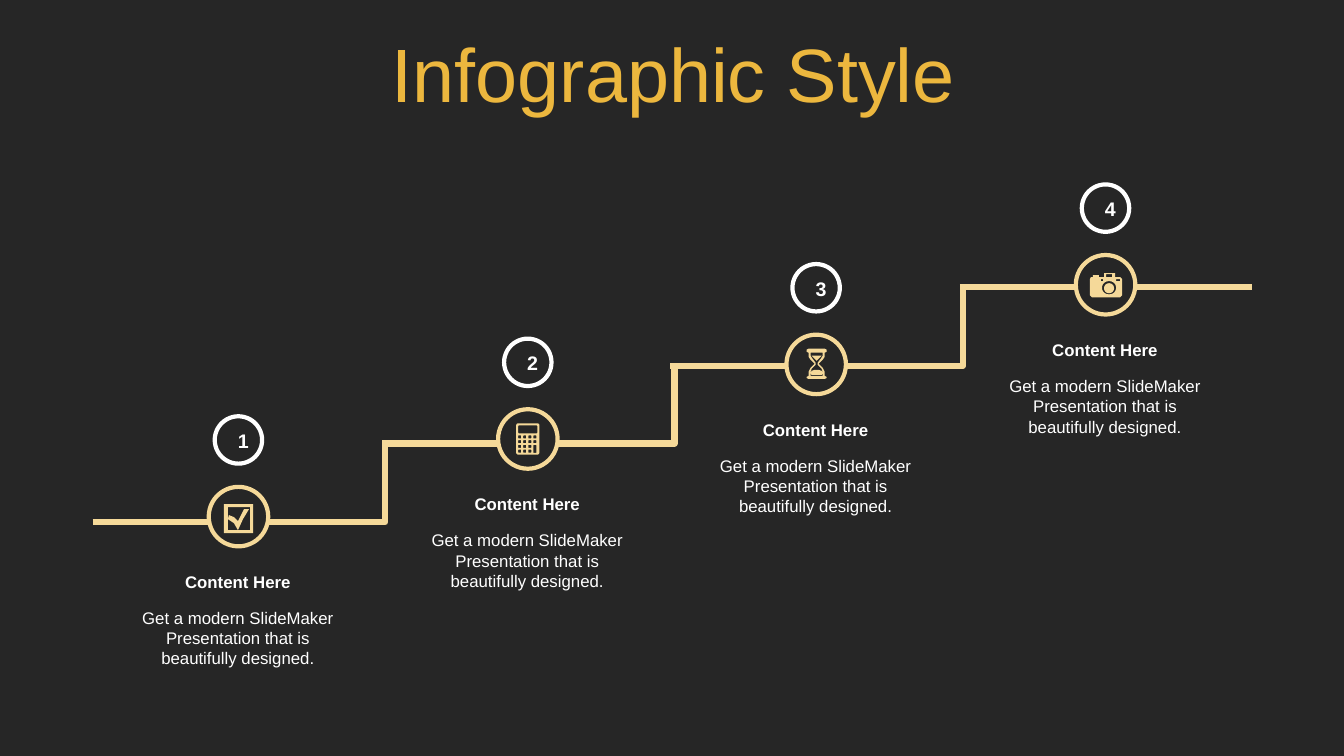
"""Build a dark staircase infographic with four numbered steps."""
import math

from lxml import etree
from pptx import Presentation
from pptx.dml.color import RGBColor
from pptx.enum.shapes import MSO_CONNECTOR, MSO_SHAPE
from pptx.enum.text import MSO_ANCHOR, MSO_AUTO_SIZE, PP_ALIGN
from pptx.oxml.ns import qn
from pptx.util import Inches, Pt

DARK = RGBColor(0x26, 0x26, 0x26)
SAND = RGBColor(0xF5, 0xD9, 0x99)
GOLD = RGBColor(0xEC, 0xB7, 0x3E)
BRONZE = RGBColor(0xB5, 0x83, 0x12)
CREAM = RGBColor(0xF9, 0xE8, 0xC2)
WHITE = RGBColor(0xFF, 0xFF, 0xFF)
TITLE_STOPS = ((0, BRONZE), (6, GOLD), (69, CREAM), (100, GOLD))

OVAL = MSO_SHAPE.OVAL
STRAIGHT = MSO_CONNECTOR.STRAIGHT
CENTER = PP_ALIGN.CENTER
TOP, MIDDLE = MSO_ANCHOR.TOP, MSO_ANCHOR.MIDDLE
NO_FIT, GROW = MSO_AUTO_SIZE.NONE, MSO_AUTO_SIZE.SHAPE_TO_FIT_TEXT

RINGS = ((2.07, 4.83), (4.94, 4.06), (7.8, 3.32), (10.67, 2.53))
TREADS = (5.18, 4.4, 3.63, 2.85)
TREAD_WIDTH, RISE = 2.9, 0.8
HEADING = "Content Here"
BODY = "Get a modern SlideMaker Presentation that is beautifully designed."


def rounded(x, y, w, h, radius=0):
    """Return the outline of a rectangle with rounded corners."""
    if not radius:
        return [(x, y), (x + w, y), (x + w, y + h), (x, y + h)]
    centers = ((x + w - radius, y + h - radius), (x + radius, y + h - radius),
               (x + radius, y + radius), (x + w - radius, y + radius))
    return [(cx + radius * math.cos(math.radians(90 * i + a)),
             cy + radius * math.sin(math.radians(90 * i + a)))
            for i, (cx, cy) in enumerate(centers) for a in range(0, 91, 15)]


def mirrored(points, axis):
    """Close a right-hand outline with its reflection in a vertical axis."""
    return points + [(2 * axis - x, y) for x, y in reversed(points)]


def check_icon():
    """Return the outlines of the ticked box."""
    tick = [(2.27, 5.11), (2.32, 5.13), (2.36, 5.17), (2.39, 5.11), (2.42, 5.05),
            (2.47, 5.05), (2.41, 5.15), (2.36, 5.26), (2.32, 5.19), (2.26, 5.15)]
    return [rounded(2.22, 5, 0.29, 0.29), rounded(2.26, 5.03, 0.22, 0.23), tick]


def calculator_icon():
    """Return the outlines of the calculator."""
    keys = [rounded(5.14 + 0.05 * col, 4.32 + 0.047 * row, 0.03,
                    0.08 if (col, row) == (3, 2) else 0.03, 0.005)
            for col in range(4) for row in range(4) if (col, row) != (3, 3)]
    return [rounded(5.12, 4.2, 0.23, 0.31, 0.02),
            rounded(5.14, 4.22, 0.19, 0.08, 0.01)] + keys


def hourglass_icon():
    """Return the outlines of the hourglass."""
    axis = 8.1
    frame = [(8.18, 3.46), (8.2, 3.47), (8.2, 3.49), (8.18, 3.5), (8.18, 3.54),
             (8.16, 3.57), (8.12, 3.61), (8.16, 3.65), (8.18, 3.69), (8.18, 3.73),
             (8.2, 3.74), (8.2, 3.75), (8.18, 3.76)]
    glass = [(8.16, 3.5), (8.16, 3.53), (8.14, 3.56), (8.11, 3.6), (8.11, 3.62),
             (8.15, 3.66), (8.16, 3.69), (8.16, 3.73)]
    upper_sand = [(8.15, 3.53), (8.14, 3.54), (8.1, 3.58)]
    lower_sand = [(8.12, 3.67), (8.15, 3.68), (8.16, 3.7), (8.15, 3.72)]
    return [mirrored(part, axis) for part in (frame, glass, upper_sand, lower_sand)]


def camera_icon():
    """Return the outlines of the camera."""
    body = [(10.81, 2.77), (10.82, 2.75), (10.84, 2.75), (10.84, 2.73), (10.9, 2.73),
            (10.9, 2.75), (10.95, 2.75), (10.95, 2.71), (11.06, 2.71), (11.06, 2.75),
            (11.11, 2.75), (11.13, 2.77), (11.13, 2.93), (11.11, 2.95),
            (10.83, 2.95), (10.81, 2.93)]
    return [body, rounded(10.93, 2.79, 0.14, 0.13, 0.065),
            rounded(10.95, 2.81, 0.1, 0.1, 0.05), rounded(10.92, 2.77, 0.02, 0.02),
            rounded(11.07, 2.77, 0.04, 0.02), rounded(10.97, 2.72, 0.06, 0.03)]


class Deck:
    """Hold the shared style and the current slide."""

    font = {"name": "Arial", "size": Pt(12), "bold": False}

    def __init__(self, prs):
        """Add a blank slide on the dark background."""
        self.s = prs.slides.add_slide(prs.slide_layouts[6])
        self.s.background.fill.solid()
        self.s.background.fill.fore_color.rgb = DARK

    def text(self, box, content, anchor=TOP, fit=GROW, inset=None, **fmt):
        """Add a centred text box and return its paragraph."""
        tf = self.s.shapes.add_textbox(*map(Inches, box)).text_frame
        frame = {"word_wrap": True, "auto_size": fit, "vertical_anchor": anchor}
        if inset is not None:
            frame.update(margin_top=inset, margin_bottom=inset)
        for key, value in frame.items():
            setattr(tf, key, value)
        p = tf.paragraphs[0]
        p.alignment = CENTER
        r = p.add_run()
        r.text = content
        for key, value in {**self.font, **fmt}.items():
            setattr(r.font, key, value)
        r.font.color.rgb = WHITE
        return p

    def title(self, box, content):
        """Add the heading with its gradient lettering."""
        p = self.text(box, content, MIDDLE, size=Pt(54))
        p.line_spacing = 0.9
        r = p.runs[0]
        r.font.fill.gradient()
        r.font.fill.gradient_angle = 90
        stops = r.font._element.find(qn("a:gradFill")).find(qn("a:gsLst"))
        for stop in list(stops):
            stops.remove(stop)
        for percent, color in TITLE_STOPS:
            stop = etree.SubElement(stops, qn("a:gs"), pos=str(percent * 1000))
            etree.SubElement(stop, qn("a:srgbClr"), val=str(color))

    def ring(self, left, top, size, color):
        """Add a dark circle with a coloured outline."""
        sp = self.s.shapes.add_shape(OVAL, *map(Inches, (left, top, size, size)))
        sp.shadow.inherit = False
        sp.fill.solid()
        sp.fill.fore_color.rgb = DARK
        sp.line.color.rgb = color
        sp.line.width = Pt(3)

    def outline(self, contours, close=True):
        """Add a freeform made of one or more contours."""
        contours = [[(Inches(x), Inches(y)) for x, y in c] for c in contours]
        fb = self.s.shapes.build_freeform(*contours[0][0], scale=1.0)
        for i, points in enumerate(contours):
            if i:
                fb.move_to(*points[0])
            fb.add_line_segments(points[1:], close=close)
        sp = fb.convert_to_shape()
        sp.shadow.inherit = False
        return sp

    def icon(self, contours):
        """Add a filled icon whose inner contours are holes."""
        sp = self.outline(contours)
        sp.fill.solid()
        sp.fill.fore_color.rgb = SAND
        sp.line.fill.background()

    def stair(self, left, top, rise):
        """Add a tread, followed by a riser if it has a height."""
        right = left + TREAD_WIDTH
        if rise:
            sp = self.outline([[(left, top), (right, top), (right, top - rise)]], False)
            sp.fill.background()
        else:
            sp = self.s.shapes.add_connector(
                STRAIGHT, *map(Inches, (left, top, right, top)))
            etree.SubElement(sp._element.spPr, qn("a:effectLst"))
        sp.line.color.rgb = SAND
        sp.line.width = Pt(4.5)


def main():
    """Draw the slide and save it."""
    prs = Presentation()
    prs.slide_width, prs.slide_height = Inches(13.33), Inches(7.5)
    deck = Deck(prs)
    for (x, _), tread in zip(RINGS, TREADS):
        deck.stair(x - 1.15, tread, 0 if tread == TREADS[-1] else RISE)
    deck.title((0.35, 0.31, 12.66, 0.92), "Infographic Style")
    icons = (check_icon, calculator_icon, hourglass_icon, camera_icon)
    for number, ((x, y), icon) in enumerate(zip(RINGS, icons), 1):
        deck.ring(x, y, 0.59, SAND)
        deck.ring(x + 0.06, y - 0.7, 0.47, WHITE)
        deck.text((x + 0.19, y - 0.58, 0.22, 0.24), str(number), MIDDLE,
                  inset=0, size=Pt(14), bold=True)
        deck.text((x - 0.89, y + 0.79, 2.36, 0.35), HEADING, fit=NO_FIT, bold=True)
        deck.text((x - 0.89, y + 1.15, 2.36, 0.71), BODY)
        deck.icon(icon())
    prs.save("out.pptx")


if __name__ == "__main__":
    main()
